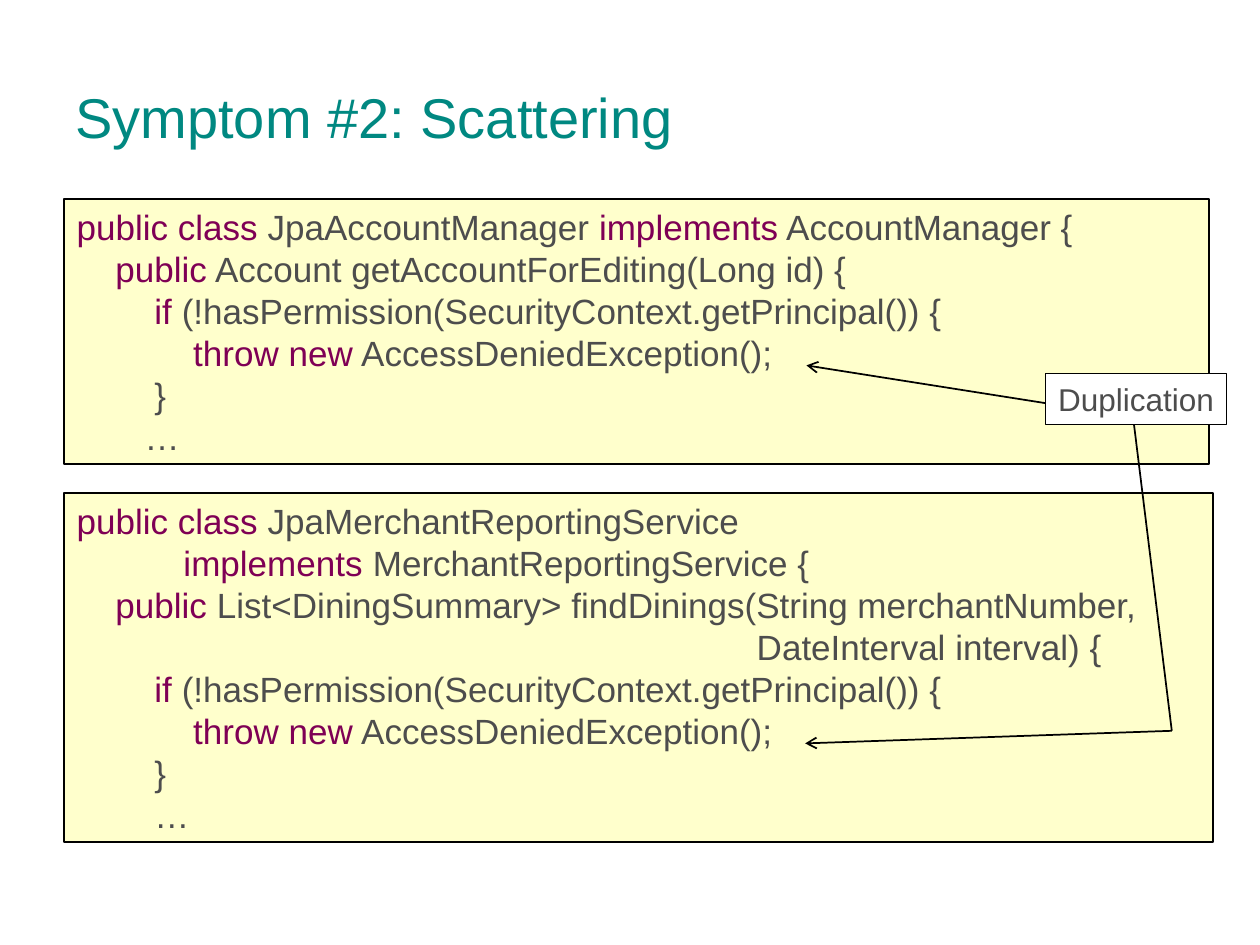
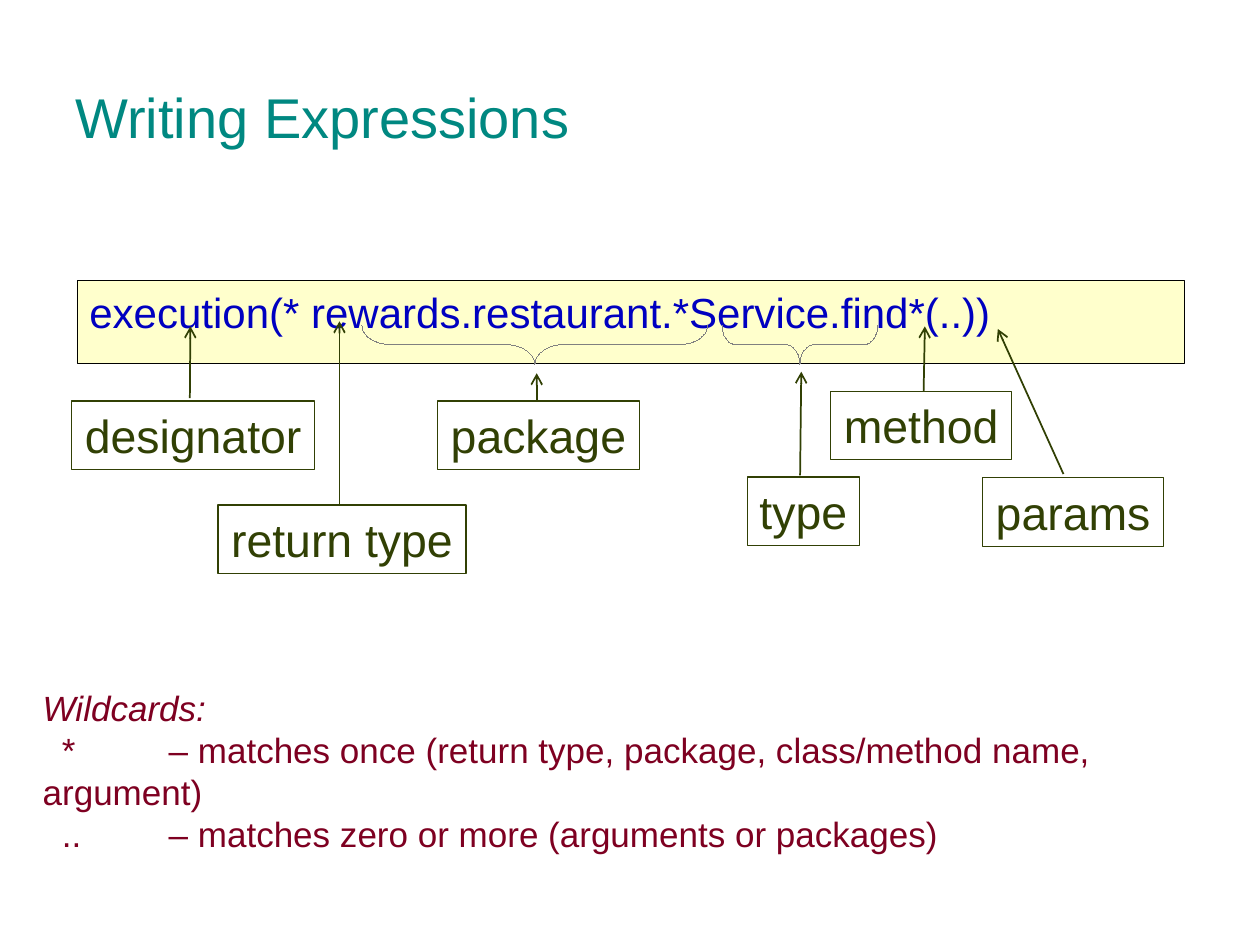
"""Build two slides on scattered code and pointcut expressions."""
import itertools

import pptx
import pptx.dml.color
import pptx.enum.shapes
import pptx.enum.text
import pptx.oxml.ns
import pptx.util
from lxml import etree

Pt = pptx.util.Pt
SHAPE = pptx.enum.shapes.MSO_SHAPE
ALIGN = pptx.enum.text.PP_ALIGN
ANCHOR = pptx.enum.text.MSO_ANCHOR

FONT = "Arial"
COLOURS = {
    "title": "008881", "panel": "FFFFCC", "white": "FFFFFF", "black": "000000",
    "keyword": "7F0055", "code": "4D4D4D", "expression": "0000C0",
    "label": "314004", "brace": "808080", "wildcard": "7E0021",
}

SCATTERING_TITLE = "Symptom #2: Scattering"
PERMISSION_CHECK = [
    ("        if", " (!hasPermission(SecurityContext.getPrincipal()) {"),
    ("            throw new", " AccessDeniedException();"),
    ("", "        }"),
]
ACCOUNT_CODE = [
    ("public class", " JpaAccountManager ", "implements", " AccountManager {"),
    ("    public", " Account getAccountForEditing(Long id) {"),
    *PERMISSION_CHECK,
    ("", "       …"),
]
REPORTING_CODE = [
    ("public class", " JpaMerchantReportingService"),
    ("           implements ", "MerchantReportingService {"),
    ("    public", " List<DiningSummary> findDinings(String merchantNumber,"),
    ("", " " * 70 + "DateInterval interval) {"),
    *PERMISSION_CHECK,
    ("", "        …"),
]
CODE_PANELS = [
    (ACCOUNT_CODE, (36.7, 113.9, 654.2, 151.4)),
    (REPORTING_CODE, (36.7, 281.9, 656.6, 199.2)),
]
DUPLICATION = ("Duplication", (597.6, 213.5, 103.2, 29))
DUPLICATION_LINES = [
    ((597.6, 230.4), (460.8, 208.8), True),
    ((648, 242.6), (669.6, 417.6), False),
    ((669.6, 417.6), (460.1, 424.8), True),
]

EXPRESSION_TITLE = "Writing Expressions"
EXPRESSION = "execution(* rewards.restaurant.*Service.find*(..))"
LABEL_HEIGHT = 39.2
EXPRESSION_PARTS = [
    ("designator", (41, 229.2, 138.8), (108.5, 227.5), (108.8, 186.5)),
    ("return type", (124.6, 288.6, 141.8), (194, 288.6), (194, 183.6)),
    ("package", (250, 229.2, 115.4), (306.7, 229.2), (306.7, 213.3)),
    ("type", (427, 272.6, 64.1), (457.2, 271.6), (457.9, 212.4)),
    ("method", (474.6, 223.6, 103.6), (527.8, 223.6), (528.5, 186.5)),
    ("params", (561.6, 273, 103.2), (607.7, 270.9), (570.2, 188)),
]
BRACE_DEPTH = 22.3
BRACE_MIDDLE = 196.9
BRACES = [(305.6, 197.6, 0.74), (457.1, 89, 0.35)]
HAIRLINE = 0.01
WILDCARD_HEADING = "Wildcards:"
WILDCARDS = [
    "*\t– matches once (return type, package, class/method name, argument)",
    "..\t– matches zero or more (arguments or packages)",
]


def rgb(name):
    return pptx.dml.color.RGBColor.from_string(COLOURS[name])


def add_text(box, text, size=20, colours=("code",), align=ALIGN.LEFT,
             anchor=ANCHOR.TOP, wrap=True, italic_lines=0):
    """Write lines whose parts take the given colours in turn."""
    frame = box.text_frame
    frame.word_wrap = wrap
    frame.vertical_anchor = anchor
    lines = [text] if isinstance(text, str) else text
    for index, line in enumerate(lines):
        para = frame.add_paragraph() if index else frame.paragraphs[0]
        para.alignment = align
        parts = (line,) if isinstance(line, str) else line
        for part, colour in zip(parts, itertools.cycle(colours)):
            if part:
                span = para.add_run()
                span.text = part
                span.font.name = FONT
                span.font.size = Pt(size)
                span.font.italic = index < italic_lines
                span.font.color.rgb = rgb(colour)


def add_text_box(page, area, text, **style):
    box = page.shapes.add_textbox(*map(Pt, area))
    add_text(box, text, **style)
    return box


def add_panel(page, area, text, fill="white", line="black", weight=0.75, **style):
    box = page.shapes.add_shape(SHAPE.RECTANGLE, *map(Pt, area))
    box.shadow.inherit = False
    box.fill.solid()
    box.fill.fore_color.rgb = rgb(fill)
    box.line.color.rgb = rgb(line)
    box.line.width = Pt(weight)
    add_text(box, text, **style)


def add_line(page, start, end, colour="black", arrow=True):
    line = page.shapes.add_connector(
        pptx.enum.shapes.MSO_CONNECTOR.STRAIGHT, *map(Pt, start + end))
    line.line.color.rgb = rgb(colour)
    line.line.width = Pt(1)
    qn = pptx.oxml.ns.qn
    if arrow:
        etree.SubElement(line.line._get_or_add_ln(), qn("a:tailEnd"), type="arrow")
    etree.SubElement(line._element.spPr, qn("a:effectLst"))


def add_brace(page, centre, length, curve):
    brace = page.shapes.add_shape(
        SHAPE.RIGHT_BRACE, Pt(centre - BRACE_DEPTH / 2),
        Pt(BRACE_MIDDLE - length / 2), Pt(BRACE_DEPTH), Pt(length))
    brace.rotation = 90
    brace.adjustments[0] = curve
    brace.shadow.inherit = False
    brace.fill.background()
    brace.line.color.rgb = rgb("brace")
    brace.line.width = Pt(HAIRLINE)


def add_page(deck, title):
    page = deck.slides.add_slide(deck.slide_layouts[6])
    add_text_box(page, (36, 21.6, 648, 90), title, size=32,
                 colours=["title"], anchor=ANCHOR.MIDDLE)
    return page


def indent_wildcards(box):
    for para in box.text_frame.paragraphs[1:]:
        properties = para._p.get_or_add_pPr()
        properties.set("marL", "0")
        properties.set("indent", str(Pt(11)))
        properties.set("defTabSz", str(Pt(72)))


def build_scattering(deck):
    page = add_page(deck, SCATTERING_TITLE)
    for code, area in CODE_PANELS:
        add_panel(page, area, code, fill="panel", weight=1,
                  colours=["keyword", "code"])
    label, area = DUPLICATION
    add_panel(page, area, label, size=18, align=ALIGN.CENTER, wrap=False)
    for start, end, arrow in DUPLICATION_LINES:
        add_line(page, start, end, arrow=arrow)


def build_expressions(deck):
    page = add_page(deck, EXPRESSION_TITLE)
    add_panel(page, (44, 160.4, 633, 47.3), EXPRESSION, fill="panel", weight=0.5,
              size=24, colours=["expression"])
    for brace in BRACES:
        add_brace(page, *brace)
    for label, place, start, end in EXPRESSION_PARTS:
        add_line(page, start, end, colour="label")
        add_panel(page, (*place, LABEL_HEIGHT), label, line="label", size=26.5,
                  colours=["label"], align=ALIGN.CENTER, wrap=False)
    box = add_text_box(page, (17.3, 388.8, 685.4, 86.4),
                       [WILDCARD_HEADING, *WILDCARDS],
                       colours=["wildcard"], italic_lines=1)
    indent_wildcards(box)


def main():
    deck = pptx.Presentation()
    deck.slide_width, deck.slide_height = Pt(720), Pt(540)
    build_scattering(deck)
    build_expressions(deck)
    deck.save("out.pptx")


if __name__ == "__main__":
    main()
